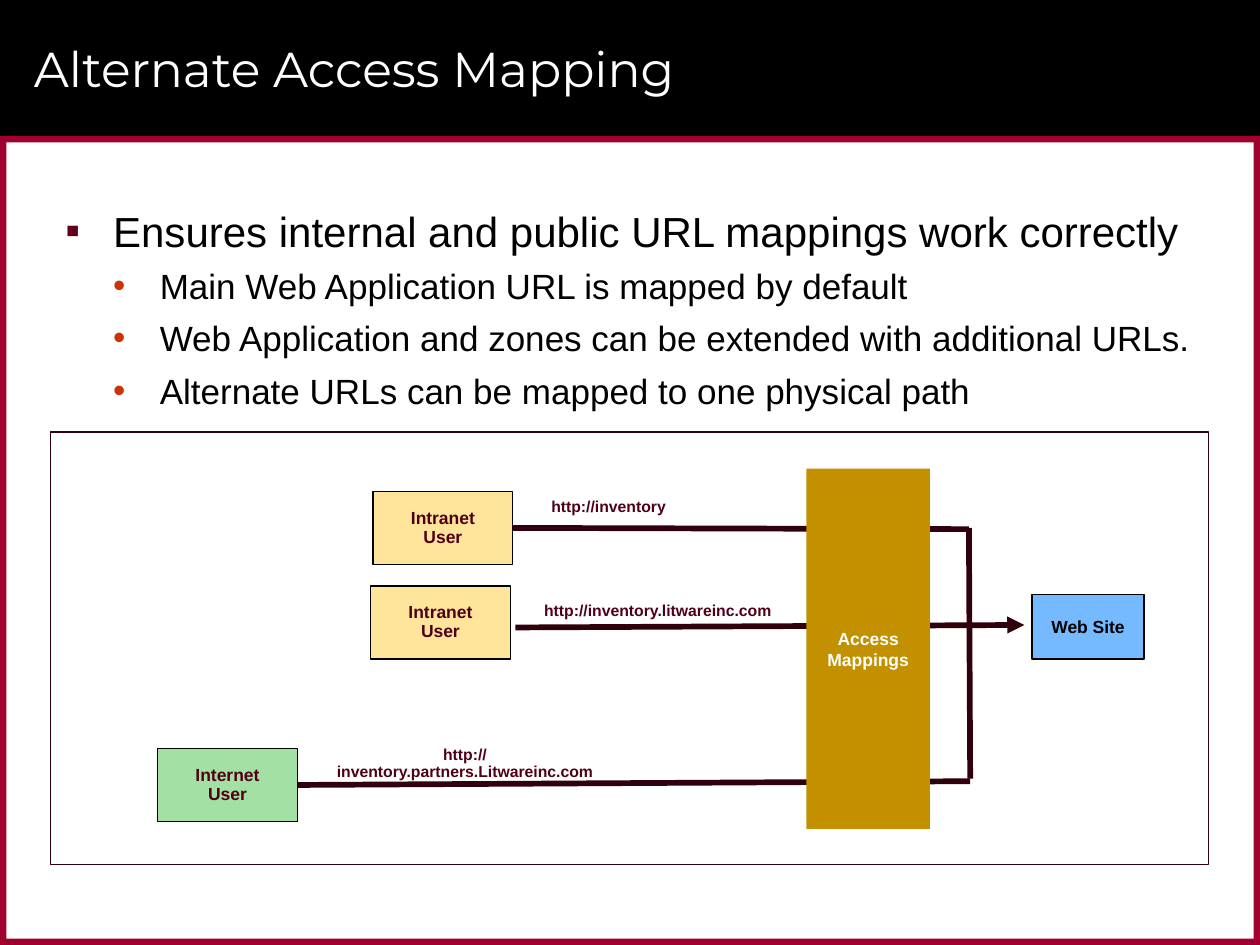
from typing import NamedTuple

from lxml.etree import SubElement
from pptx import Presentation
from pptx.dml.color import RGBColor
from pptx.enum.shapes import MSO_CONNECTOR as Connector, MSO_SHAPE as Shape
from pptx.enum.text import MSO_ANCHOR as Anchor, PP_ALIGN as Align
from pptx.oxml.ns import qn
from pptx.util import Pt

COLORS = {
    "black": "000000",
    "white": "FFFFFF",
    "border": "9F002D",
    "square": "60001B",
    "dot": "CC3300",
    "line": "30000D",
    "label": "500016",
    "site": "75BAFF",
    "internet": "A3E0A3",
    "intranet": "FFE59B",
    "mappings": "C39100",
}


class Box(NamedTuple):
    left: float
    top: float
    width: float
    height: float

    def inner(self, left, top, width, height):
        return Box(self.left + left, self.top + top, width, height)

    def lengths(self):
        return [Pt(value) for value in self]


def color(name):
    return RGBColor.from_string(COLORS[name])


def add_rect(page, box, fill, outline=None):
    shape = page.shapes.add_shape(Shape.RECTANGLE, *box.lengths())
    shape.shadow.inherit = False
    shape.fill.solid()
    shape.fill.fore_color.rgb = color(fill)
    if outline:
        shape.line.color.rgb = color(outline)
        shape.line.width = Pt(0.75)
    else:
        shape.line.fill.background()
    return shape


def add_textbox(page, box):
    return page.shapes.add_textbox(*box.lengths())


def add_bullet(para, symbol, tint, margin, hanging):
    props = para._p.get_or_add_pPr()
    props.set("marL", str(Pt(margin)))
    props.set("indent", str(-Pt(hanging)))
    bullet_color = SubElement(props, qn("a:buClr"))
    SubElement(bullet_color, qn("a:srgbClr"), val=COLORS[tint])
    SubElement(props, qn("a:buFont"), typeface="Arial")
    SubElement(props, qn("a:buChar"), char=symbol)


def write(shape, text, size, tint, font="Arial", bold=False, align=Align.LEFT,
          anchor=Anchor.MIDDLE, wrap=True, spacing=None, insets=None):
    frame = shape.text_frame
    frame.word_wrap = wrap
    frame.vertical_anchor = anchor
    if insets:
        frame.margin_left = frame.margin_right = Pt(insets[0])
        frame.margin_top = frame.margin_bottom = Pt(insets[1])
    for index, words in enumerate(text.split("\n")):
        para = frame.paragraphs[0] if index == 0 else frame.add_paragraph()
        para.alignment = align
        if spacing:
            para.line_spacing = spacing
        span = para.add_run()
        span.text = words
        span.font.name = font
        span.font.size = Pt(size)
        span.font.bold = bold
        span.font.color.rgb = color(tint)
    return frame.paragraphs


def add_line(page, box, start, end, arrow=False):
    points = [Pt(value) for x, y in (start, end) for value in (box.left + x, box.top + y)]
    line = page.shapes.add_connector(Connector.STRAIGHT, *points)
    line.line.color.rgb = color("line")
    line.line.width = Pt(3.25)
    if arrow:
        SubElement(line.line._get_or_add_ln(), qn("a:tailEnd"), type="triangle")
    SubElement(line._element.spPr, qn("a:effectLst"))


def add_header(page, box):
    add_rect(page, box, "black")
    title = add_textbox(page, box.inner(12.24, 5.76, 678.24, 66.24))
    write(title, "Alternate Access Mapping", 28, "white", font="Montserrat")


def add_border(page, box, thickness=3.6):
    right, bottom = box.width - thickness, box.height - thickness
    for edge in (
        (0, 0, box.width, thickness),
        (0, bottom, box.width, thickness),
        (right, 0, thickness, box.height),
        (0, 0, thickness, box.height),
    ):
        add_rect(page, box.inner(*edge), "border")


def add_points(page, box):
    text = "\n".join((
        "Ensures internal and public URL mappings work correctly",
        "Main Web Application URL is mapped by default",
        "Web Application and zones can be extended with additional URLs.",
        "Alternate URLs can be mapped to one physical path",
    ))
    heading, *details = write(add_textbox(page, box), text, 20, "black", anchor=Anchor.TOP)
    heading.runs[0].font.size = Pt(24)
    heading.space_after = Pt(2)
    add_bullet(heading, "▪", "square", 27.36, 27.36)
    for para in details:
        para.level = 1
        para.space_before = para.space_after = Pt(3)
        add_bullet(para, "•", "dot", 54, 26.64)


def add_diagram(page, box):
    add_rect(page, box, "white", "line")

    for start, end, arrow in (
        ((263.52, 54.72), (524.88, 55.44), False),
        ((265.68, 111.6), (556.56, 110.16), True),
        ((141.12, 201.6), (525.6, 199.44), False),
        ((525.6, 198), (524.88, 54.72), False),
    ):
        add_line(page, box, start, end, arrow)

    centered = {"bold": True, "align": Align.CENTER}
    compact = {**centered, "wrap": False, "spacing": 0.9}
    for address, left, top, width in (
        ("http://inventory", 267.84, 33.12, 102.24),
        ("http://inventory.litwareinc.com", 265.68, 92.16, 162.72),
        ("http://inventory.partners.Litwareinc.com", 150.48, 179.28, 172.8),
    ):
        label = add_textbox(page, box.inner(left, top, width, 20.16))
        write(label, address, 9, "label", **compact)

    for network, left, top in (
        ("Intranet", 184.32, 33.84),
        ("Intranet", 182.88, 87.84),
        ("Internet", 61.2, 180.72),
    ):
        user = add_rect(page, box.inner(left, top, 79.92, 41.76), network.lower(), "black")
        write(user, f"{network}\nUser", 10, "label", **compact)

    site = add_rect(page, box.inner(560.88, 92.88, 64.08, 36.72), "site", "black")
    write(site, "Web Site", 10, "black", insets=(8.64, 4.32), **centered)
    mappings = add_rect(page, box.inner(432, 20.88, 70.56, 205.92), "mappings")
    write(mappings, "Access Mappings", 10, "white", insets=(8.64, 4.32), **centered)


def main():
    deck = Presentation()
    deck.slide_width, deck.slide_height = Pt(720), Pt(540)
    page = deck.slides.add_slide(deck.slide_layouts[6])
    add_header(page, Box(0, 0, 720, 77.76))
    add_border(page, Box(0, 77.76, 720, 462.24))
    add_points(page, Box(30.24, 113.76, 660.24, 408.24))
    add_diagram(page, Box(28.8, 246.96, 661.68, 246.96))
    deck.save("out.pptx")


if __name__ == "__main__":
    main()
